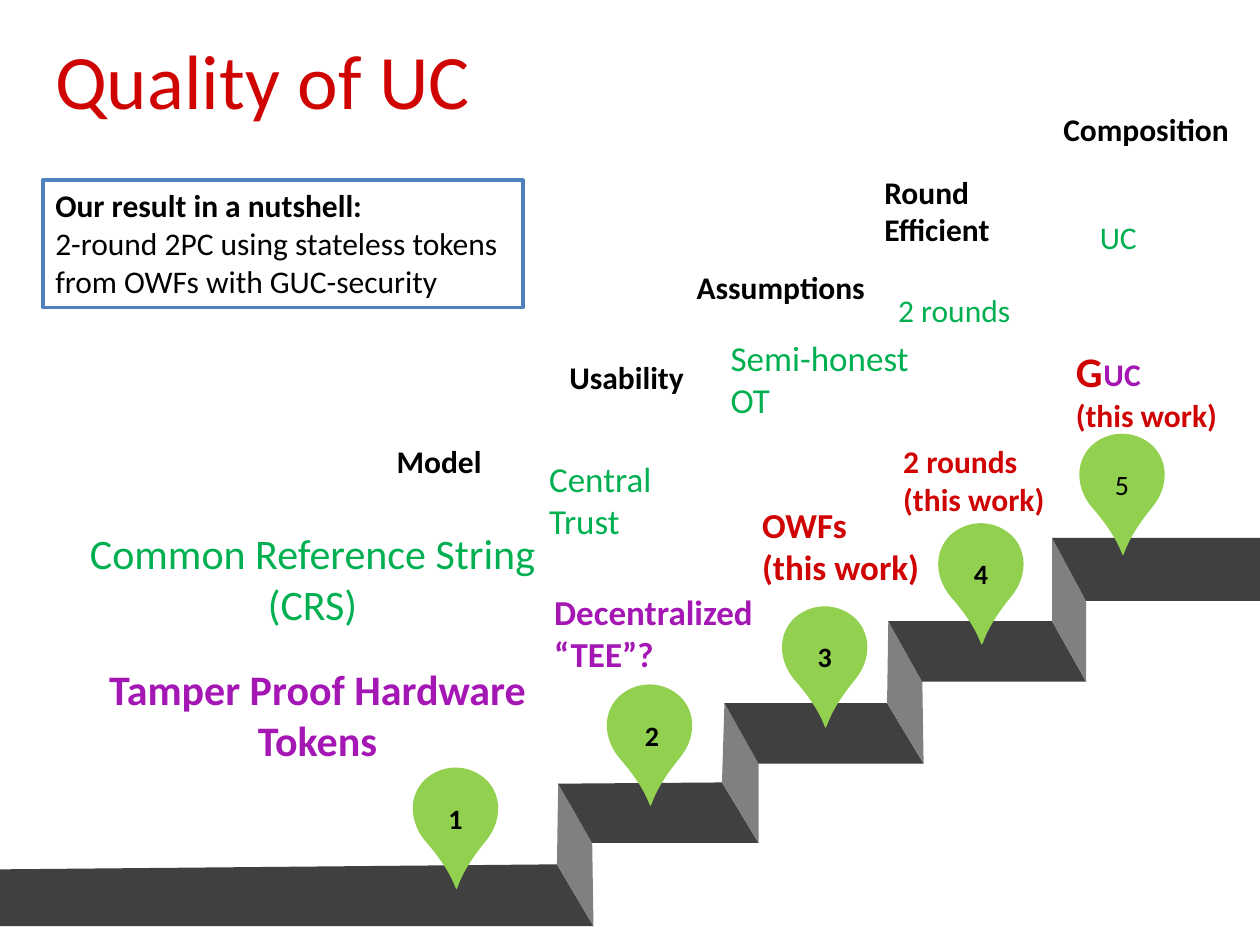
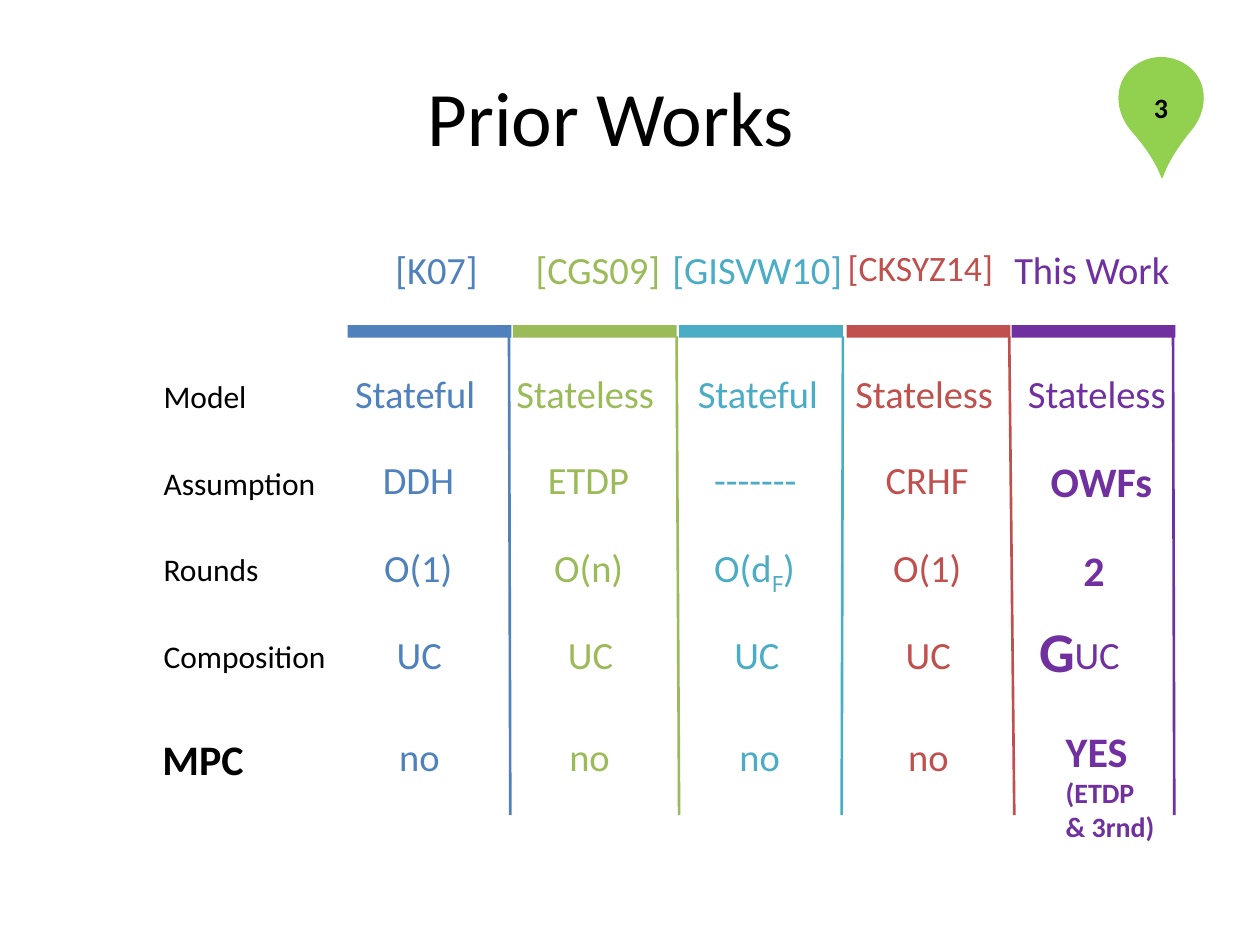
from collections import namedtuple
from dataclasses import dataclass
from itertools import pairwise

from lxml import etree
from pptx import Presentation
from pptx import util as u
from pptx.dml.color import RGBColor
from pptx.enum import shapes, text
from pptx.oxml.ns import qn

PX = 9144
LEFT, MID = text.PP_ALIGN.LEFT, text.PP_ALIGN.CENTER


@dataclass(frozen=True)
class Theme:
    """Colours, fonts and type sizes of the deck."""
    font: str = "Calibri"
    sub: str = "Noto Sans"
    black: str = "000000"
    white: str = "FFFFFF"
    red: str = "D00303"
    green: str = "00B050"
    plum: str = "A417B5"
    lime: str = "92D050"
    tread: str = "404040"
    riser: str = "808080"
    blue: str = "4F81BD"
    olive: str = "9BBB59"
    aqua: str = "4BACC6"
    brick: str = "C0504D"
    violet: str = "7030A0"
    title: float = 44
    huge: float = 32
    big: float = 24
    cell: float = 22
    tight: float = 20.4
    mid: float = 20
    body: float = 18
    small: float = 16


T = Theme()
Column = namedtuple("Column", "head size ink span bar foot cells")


def scale(*px):
    """Turn px lengths into EMU."""
    return [u.Emu(round(n * PX)) for n in px]


def color(code):
    """Return the colour for a hex code."""
    return RGBColor.from_string(code)


def write(frame, lines, ink=T.black, size=T.body, bold=False, align=LEFT):
    """Fill a frame with lines, each a string or a list of (text, format) runs."""
    for i, line in enumerate(lines):
        para = frame.paragraphs[0] if i == 0 else frame.add_paragraph()
        para.alignment = align
        for words, extra in [(line, {})] if isinstance(line, str) else line:
            run = para.add_run()
            run.text = words
            look = {"name": T.font, "size": size, "bold": bold} | extra
            base = look.pop("base", None)
            look["size"] = u.Pt(look["size"])
            for key, value in look.items():
                setattr(run.font, key, value)
            run.font.color.rgb = color(ink)
            if base:
                run._r.get_or_add_rPr().set("baseline", str(base))


def say(slide, box, *lines, wrap=True, anchor=text.MSO_ANCHOR.TOP, **look):
    """Add a text box."""
    label = slide.shapes.add_textbox(*scale(*box))
    fit = text.MSO_AUTO_SIZE.NONE if wrap else text.MSO_AUTO_SIZE.SHAPE_TO_FIT_TEXT
    for key, value in {"auto_size": fit, "word_wrap": wrap, "vertical_anchor": anchor}.items():
        setattr(label.text_frame, key, value)
    write(label.text_frame, lines, **look)
    return label


def paint(shape, fill, edge=None, width=2):
    """Give a shape a flat fill and, if asked, an edge."""
    shape.shadow.inherit = False
    shape.fill.solid()
    shape.fill.fore_color.rgb = color(fill)
    if edge:
        shape.line.color.rgb = color(edge)
        shape.line.width = u.Pt(width)
    else:
        shape.line.fill.background()
    return shape


def block(slide, box, fill, edge=None):
    """Add a flat rectangle."""
    return paint(slide.shapes.add_shape(shapes.MSO_SHAPE.RECTANGLE, *scale(*box)), fill, edge)


def trace(slide, origin, points, fill):
    """Add a closed outline through points set off from an origin."""
    ends = [scale(origin[0] + x, origin[1] + y) for x, y in points]
    pen = slide.shapes.build_freeform(*ends[0])
    pen.add_line_segments(ends[1:], close=True)
    return paint(pen.convert_to_shape(), fill)


def bend(shape):
    """Turn each three line segments of an outline into one cubic curve."""
    legs = list(shape._element.iter(qn("a:lnTo")))
    for i in range(0, len(legs), 3):
        arc = etree.Element(qn("a:cubicBezTo"))
        legs[i].addprevious(arc)
        for leg in legs[i:i + 3]:
            arc.append(leg[0])
            leg.getparent().remove(leg)


def pin(slide, x, y, mark, shift=0, bold=True):
    """Place a numbered map pin in a box 113 wide at x, y."""
    knots = [(32, 58), (77, 109), (38, 110), (81, 58), (93, 43), (94, 23), (81, 10),
             (67, -3), (46, -3), (32, 10), (19, 23), (20, 43), (32, 58)]
    drop = trace(slide, (x, y), knots, T.lime)
    bend(drop)
    label = say(slide, (x + shift, y + 22, 113, 25), mark, size=T.small, bold=bold, align=MID)
    slide.shapes.add_group_shape([drop, label])


def stairs(slide, x, y):
    """Draw the flight of steps from its front and back edge corners."""
    edges = [((0, 308), (0, 263)), ((471, 308), (442, 259)), ((470, 242), (443, 195)),
             ((602, 242), (573, 194)), ((602, 179), (575, 131)), ((733, 179), (704, 131)),
             ((732, 114), (705, 66)), ((862, 114), (835, 66)), ((862, 50), (835, 0)),
             ((1000, 50), (1000, 0))]
    faces = [trace(slide, (x, y), [a, b, d, c], T.riser if i % 2 else T.tread)
             for i, ((a, b), (c, d)) in enumerate(pairwise(edges))]
    slide.shapes.add_group_shape(faces)


def title(slide, box, words, **look):
    """Add a slide title."""
    say(slide, box, words, size=T.title, **look)


def topics(slide):
    """Name the topic of each step."""
    for box, words in [((305, 346, 110, 49), "Model"), ((442, 279, 132, 49), "Usability"),
                       ((543, 208, 156, 49), "Assumptions"),
                       ((692, 132, 161, 49), "Round Efficient"),
                       ((834, 82, 152, 49), "Composition")]:
        say(slide, box, words, bold=True)


def goals(slide):
    """Set the known and the new result above each step."""
    known = {"ink": T.green}
    other = {"ink": T.plum, "bold": True}
    ours = {"ink": T.red, "bold": True}
    work = "(this work)"
    for box, lines, size, wrap, look in [
            ((52, 414, 392, 91), ["Common Reference String (CRS)"], T.big, True,
             known | {"align": MID}),
            ((426, 358, 161, 77), ["Central Trust"], T.mid, True, known),
            ((570, 262, 163, 77), ["Semi-honest", "OT"], T.mid, False, known),
            ((703, 226, 110, 40), ["2 rounds"], T.body, False, known),
            ((863, 168, 51, 40), ["UC"], T.body, False, known),
            ((56, 522, 392, 91), ["Tamper Proof Hardware Tokens"], T.big, True,
             other | {"align": MID}),
            ((430, 464, 180, 77), ["Decentralized", "“TEE”?"], T.mid, True, other),
            ((595, 395, 146, 77), ["OWFs", work], T.mid, False, ours),
            ((707, 346, 135, 71), ["2 rounds", work], T.body, False, ours),
            ((866, 277, 50, 40), ["UC"], T.body, False, other),
            ((844, 269, 133, 81), [[("G", {"size": T.big})], work], T.body, False, ours)]:
        say(slide, box, *lines, size=size, wrap=wrap, **look)


def result(slide, box):
    """Frame the main result."""
    note = block(slide, box, T.white, T.blue)
    note.text_frame.word_wrap = True
    note.text_frame.vertical_anchor = text.MSO_ANCHOR.TOP
    write(note.text_frame, [[("Our result in a nutshell:", {"bold": True})],
                            "2-round 2PC using stateless tokens from OWFs with GUC-security"])


def steps(slide):
    """Build the slide with the staircase."""
    stairs(slide, 0, 427)
    spots = [(305, 609), (459, 543), (598, 481), (722, 415), (834, 344)]
    for i, (x, y) in enumerate(spots, 1):
        pin(slide, x, y, str(i), shift=2 if i == 2 else 0, bold=i < 5)
    topics(slide)
    goals(slide)
    title(slide, (34, 21, 365, 84), "Quality of UC", ink=T.red)
    result(slide, (34, 143, 381, 101))


def rule(slide, ends, ink):
    """Draw a thin line."""
    line = slide.shapes.add_connector(shapes.MSO_CONNECTOR.STRAIGHT, *scale(*ends))
    line.line.color.rgb = color(ink)
    line.line.width = u.Pt(1.5)
    etree.SubElement(line._element.spPr, qn("a:effectLst"))


def names(slide, x, y):
    """List the row names."""
    rows = [("Model", 87), ("Assumption", 142), ("Rounds", 96), ("Composition", 150)]
    for i, (words, width) in enumerate(rows):
        say(slide, (x, y + 69 * i, width, 40), words, wrap=False)
    say(slide, (x - 1, y + 283, 85, 50), "MPC", size=T.big, bold=True, wrap=False)


def grid(slide, x, y):
    """Draw the columns of works, each with head, bar, side line and cells."""
    strong = {"size": T.big, "bold": True}
    order = [("O(d", {}), ("F", {"name": T.sub, "base": -25000}), (")", {})]
    tops = [99, 167, 237, 306, 387]
    columns = [
        Column("[K07]", T.cell, T.blue, (10, 121), 0, (128, 129),
               [(-4, 117, "Stateful"), (18, 77, "DDH"), (19, 75, "O(1)"), (29, 56, "UC"),
                (31, 53, "no")]),
        Column("[CGS09]", T.cell, T.olive, (138, 121), 131, (261, 263),
               [(124, 131, "Stateless"), (149, 85, "ETDP"), (154, 75, "O(n)"), (165, 56, "UC"),
                (166, 53, "no")]),
        Column("[GISVW10]", T.cell, T.aqua, (246, 158), 263, (393, 392),
               [(268, 117, "Stateful"), (281, 86, "-------"), (281, 91, order), (297, 56, "UC"),
                (301, 53, "no")]),
        Column("[CKSYZ14]", T.tight, T.brick, (383, 143), 396, (525, 529),
               [(393, 131, "Stateless"), (417, 87, "CRHF"), (423, 75, "O(1)"), (433, 56, "UC"),
                (435, 53, "no")]),
        Column("This Work", T.cell, T.violet, (518, 145), 527, (655, 656),
               [(530, 131, "Stateless"), (548, 102, [("OWFs", strong)]),
                (574, 37, [("2", strong)]), (567, 56, "UC")])]
    for col in columns:
        left, width = col.span
        say(slide, (x + left, y, width, 67), col.head, ink=col.ink, size=col.size, align=MID)
        block(slide, (x + col.bar, y + 68, 130, 10), col.ink)
        start, end = col.foot
        rule(slide, (x + start, y + 77, x + end, y + 457), col.ink)
        for top, (left, width, words) in zip(tops, col.cells):
            say(slide, (x + left, y + top, width, 47), words,
                ink=col.ink, size=T.cell, wrap=False)


def gains(slide, x, y):
    """Add the stressed parts of the last column."""
    say(slide, (x, y, 49, 64), "G", ink=T.violet, size=T.huge, bold=True, wrap=False)
    say(slide, (x + 21, y + 87, 92, 104), [("YES", {"size": T.big})], "(ETDP", "& 3rnd)",
        ink=T.violet, size=T.small, bold=True, wrap=False)


def works(slide):
    """Build the slide that compares prior works."""
    grid(slide, 276, 190)
    names(slide, 120, 294)
    gains(slide, 815, 484)
    pin(slide, 865, 45, "3")
    title(slide, (35, 29, 900, 125), "Prior Works", align=MID, anchor=text.MSO_ANCHOR.MIDDLE)


def main():
    """Build and save the deck."""
    deck = Presentation()
    deck.slide_width, deck.slide_height = scale(1000, 750)
    for build in (steps, works):
        build(deck.slides.add_slide(deck.slide_layouts[6]))
    deck.save("out.pptx")


if __name__ == "__main__":
    main()
